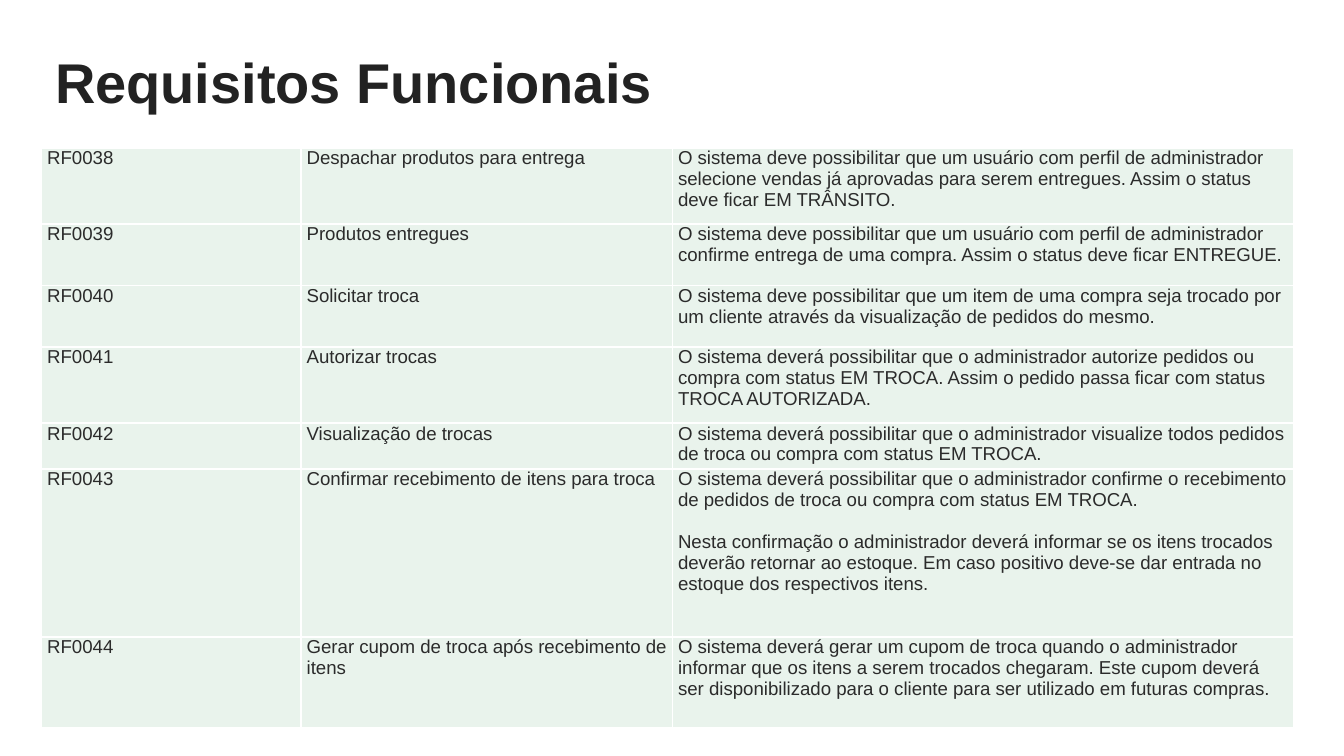
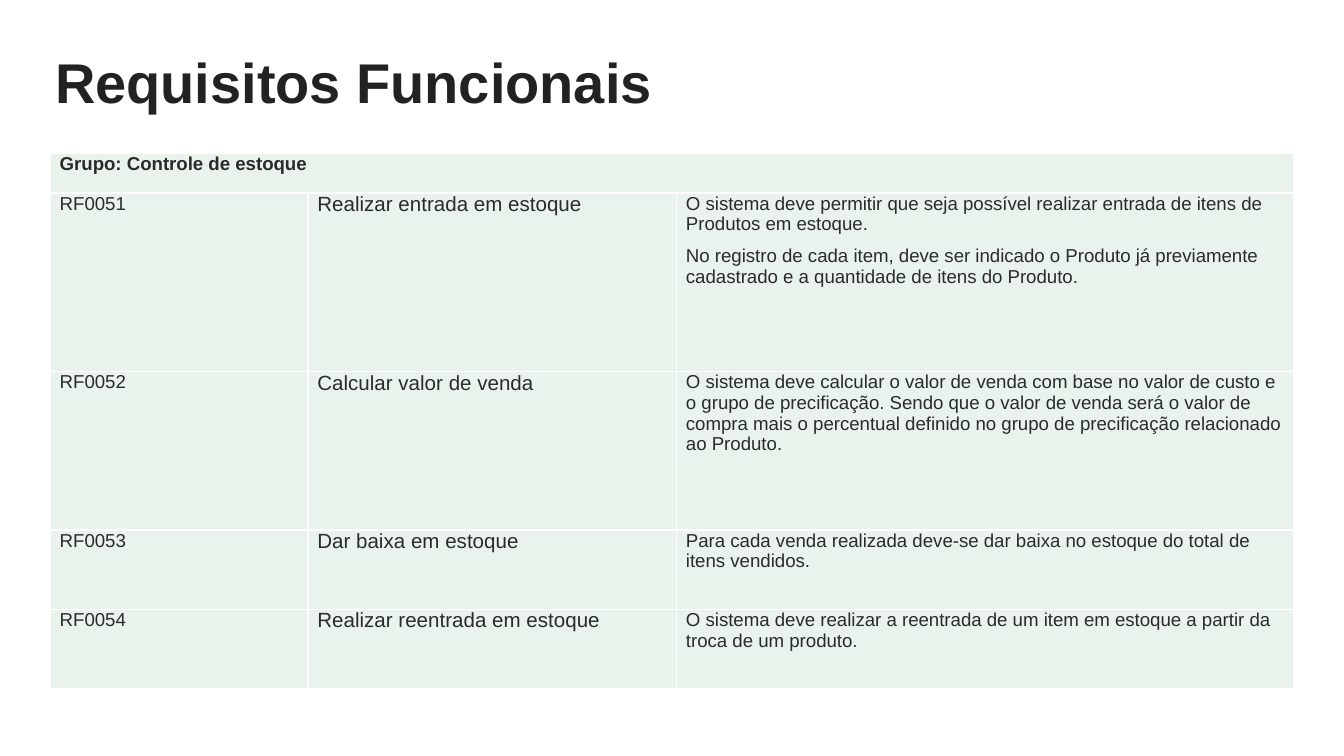
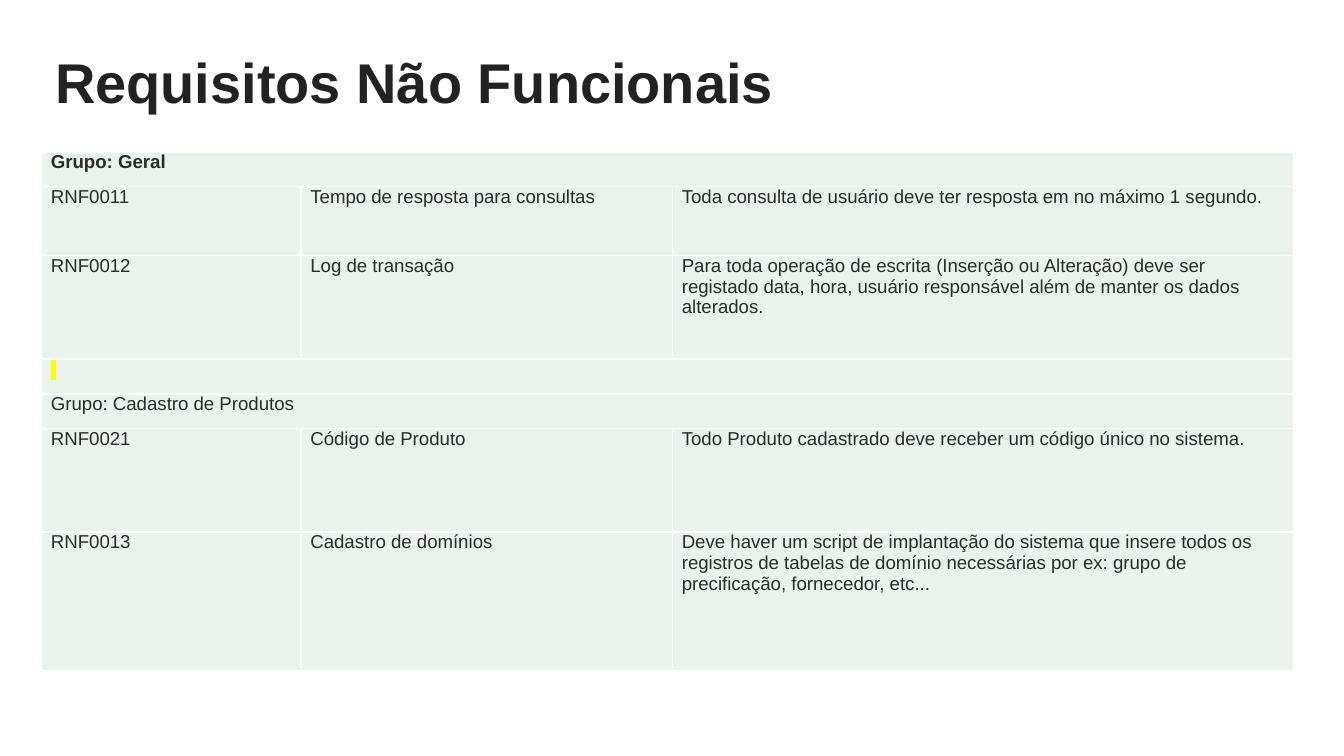
"""Build three slides of requirement tables."""
from dataclasses import dataclass

from lxml.etree import SubElement
from pptx import Presentation
from pptx.dml.color import RGBColor as Rgb
from pptx.enum.text import MSO_ANCHOR as Anchor, MSO_AUTO_SIZE as AutoSize, PP_ALIGN as Align
from pptx.oxml.ns import qn
from pptx.util import Pt

COLORS = {"title": "222222", "text": "2B2B2B", "cell": "E9F3EC", "border": "FFFFFF", "mark": "FFFF00"}
FONT = "Arial"
WIDE_COLUMNS = (139, 199, 333)
UNIT = 18.53


@dataclass
class TableLook:
    """Geometry and text settings of one table, in points."""
    left: float
    top: float
    columns: tuple
    inset: float
    sizes: tuple = (10, 10, 10)
    gap: float = 0


DELIVERY_LOOK = TableLook(22.3, 79.2, WIDE_COLUMNS, 3, gap=11.2)
STOCK_LOOK = TableLook(27, 82.2, (138, 197.5, 330.5), 5, sizes=(10, 11, 10), gap=6)
QUALITY_LOOK = TableLook(22.3, 81.3, WIDE_COLUMNS, 5)

DELIVERY_ROWS = [
    (40.8, "RF0038", "Despachar produtos para entrega",
     "O sistema deve possibilitar que um usuário com perfil de administrador selecione vendas já "
     "aprovadas para serem entregues. Assim o status deve ficar EM TRÂNSITO."),
    (33, "RF0039", "Produtos entregues",
     "O sistema deve possibilitar que um usuário com perfil de administrador confirme entrega de "
     "uma compra. Assim o status deve ficar ENTREGUE."),
    (33, "RF0040", "Solicitar troca",
     "O sistema deve possibilitar que um item de uma compra seja trocado por um cliente através da "
     "visualização de pedidos do mesmo."),
    (40.8, "RF0041", "Autorizar trocas",
     "O sistema deverá possibilitar que o administrador autorize pedidos ou compra com status EM "
     "TROCA. Assim o pedido passa ficar com status TROCA AUTORIZADA."),
    (24.6, "RF0042", "Visualização de trocas",
     "O sistema deverá possibilitar que o administrador visualize todos pedidos de troca ou compra "
     "com status EM TROCA."),
    (90, "RF0043", "Confirmar recebimento de itens para troca",
     "O sistema deverá possibilitar que o administrador confirme o recebimento de pedidos de troca "
     "ou compra com status EM TROCA.\n"
     "Nesta confirmação o administrador deverá informar se os itens trocados deverão retornar ao "
     "estoque. Em caso positivo deve-se dar entrada no estoque dos respectivos itens."),
    (48.8, "RF0044", "Gerar cupom de troca após recebimento de itens",
     "O sistema deverá gerar um cupom de troca quando o administrador informar que os itens a serem "
     "trocados chegaram. Este cupom deverá ser disponibilizado para o cliente para ser utilizado em "
     "futuras compras."),
]

STOCK_ROWS = [
    (21.3, "Grupo: Controle de estoque"),
    (95.6, "RF0051", "Realizar entrada em estoque",
     "O sistema deve permitir que seja possível realizar entrada de itens de Produtos em estoque.\n"
     "No registro de cada item, deve ser indicado o Produto já previamente cadastrado e a quantidade "
     "de itens do Produto."),
    (85, "RF0052", "Calcular valor de venda",
     "O sistema deve calcular o valor de venda com base no valor de custo e o grupo de precificação. "
     "Sendo que o valor de venda será o valor de compra mais o percentual definido no grupo de "
     "precificação relacionado ao Produto."),
    (42.4, "RF0053", "Dar baixa em estoque",
     "Para cada venda realizada deve-se dar baixa no estoque do total de itens vendidos."),
    (42.4, "RF0054", "Realizar reentrada em estoque",
     "O sistema deve realizar a reentrada de um item em estoque a partir da troca de um produto."),
]

QUALITY_ROWS = [
    (UNIT, "Grupo: Geral"),
    (2 * UNIT, "RNF0011", "Tempo de resposta para consultas",
     "Toda consulta de usuário deve ter resposta em no máximo 1 segundo."),
    (3 * UNIT, "RNF0012", "Log de transação",
     "Para toda operação de escrita (Inserção ou Alteração) deve ser registado data, hora, usuário "
     "responsável além de manter os dados alterados."),
    (UNIT, ""),
    (UNIT, "Grupo: Cadastro de Produtos"),
    (3 * UNIT, "RNF0021", "Código de Produto",
     "Todo Produto cadastrado deve receber um código único no sistema."),
    (4 * UNIT, "RNF0013", "Cadastro de domínios",
     "Deve haver um script de implantação do sistema que insere todos os registros de tabelas de "
     "domínio necessárias por ex: grupo de precificação, fornecedor, etc..."),
]


def set_font(para, size, color, bold=False):
    """Set the shared typeface on a paragraph."""
    font = para.font
    font.name, font.size, font.bold = FONT, Pt(size), bold
    font.color.rgb = Rgb.from_string(COLORS[color])


def add_titled_slide(deck, title):
    """Add a slide with the shared title style."""
    slide = deck.slides.add_slide(deck.slide_layouts[5])
    box = slide.shapes.title
    box.left, box.top, box.width, box.height = Pt(22.3), Pt(15.1), Pt(671), Pt(47.5)
    frame = box.text_frame
    frame.text = title
    frame.auto_size, frame.word_wrap = AutoSize.NONE, True
    frame.vertical_anchor = Anchor.TOP
    frame.margin_left = frame.margin_right = frame.margin_bottom = Pt(7.2)
    frame.margin_top = Pt(10.2)
    para = frame.paragraphs[0]
    para.alignment = Align.LEFT
    set_font(para, 30, "title", True)
    return slide


def add_borders(cell):
    """Draw thin lines on the four sides of a cell."""
    properties = cell._tc.get_or_add_tcPr()
    for position, side in enumerate(("lnL", "lnR", "lnT", "lnB")):
        line = SubElement(properties, qn(f"a:{side}"), w=str(Pt(1)))
        fill = SubElement(line, qn("a:solidFill"))
        SubElement(fill, qn("a:srgbClr"), val=COLORS["border"])
        properties.insert(position, line)


def format_cell(cell, look, size, bold):
    """Set the fill, borders, insets and text style of a cell."""
    cell.fill.solid()
    cell.fill.fore_color.rgb = Rgb.from_string(COLORS["cell"])
    add_borders(cell)
    cell.margin_left = cell.margin_right = Pt(look.inset)
    cell.margin_top = cell.margin_bottom = Pt(0)
    cell.vertical_anchor = Anchor.TOP
    for index, para in enumerate(cell.text_frame.paragraphs):
        if index:
            para.space_before = Pt(look.gap)
        set_font(para, size, "text", bold)


def add_requirements(slide, look, rows):
    """Add a table in which one-cell rows span all columns."""
    height = sum(row[0] for row in rows)
    frame = slide.shapes.add_table(len(rows), len(look.columns), Pt(look.left), Pt(look.top),
                                   Pt(sum(look.columns)), Pt(height))
    table = frame.table
    table.first_row = table.horz_banding = False
    for column, width in zip(table.columns, look.columns):
        column.width = Pt(width)
    for index, (row_height, *texts) in enumerate(rows):
        table.rows[index].height = Pt(row_height)
        is_group = len(texts) == 1
        for place, text in enumerate(texts):
            table.cell(index, place).text = text
        for place, size in enumerate(look.sizes):
            format_cell(table.cell(index, place), look, size, is_group and index == 0)
        if is_group:
            table.cell(index, 0).merge(table.cell(index, len(look.columns) - 1))
    return table


def add_highlight_mark(cell):
    """Put a highlighted space into a cell."""
    span = cell.text_frame.paragraphs[0].add_run()
    span.text = chr(160)
    highlight = SubElement(span._r.get_or_add_rPr(), qn("a:highlight"))
    SubElement(highlight, qn("a:srgbClr"), val=COLORS["mark"])


def main():
    """Build and save the deck."""
    deck = Presentation()
    deck.slide_width, deck.slide_height = Pt(720), Pt(405)
    add_requirements(add_titled_slide(deck, "Requisitos Funcionais"), DELIVERY_LOOK, DELIVERY_ROWS)
    add_requirements(add_titled_slide(deck, "Requisitos Funcionais"), STOCK_LOOK, STOCK_ROWS)
    quality = add_requirements(add_titled_slide(deck, "Requisitos Não Funcionais"),
                               QUALITY_LOOK, QUALITY_ROWS)
    add_highlight_mark(quality.cell(3, 0))
    deck.save("out.pptx")


if __name__ == "__main__":
    main()
